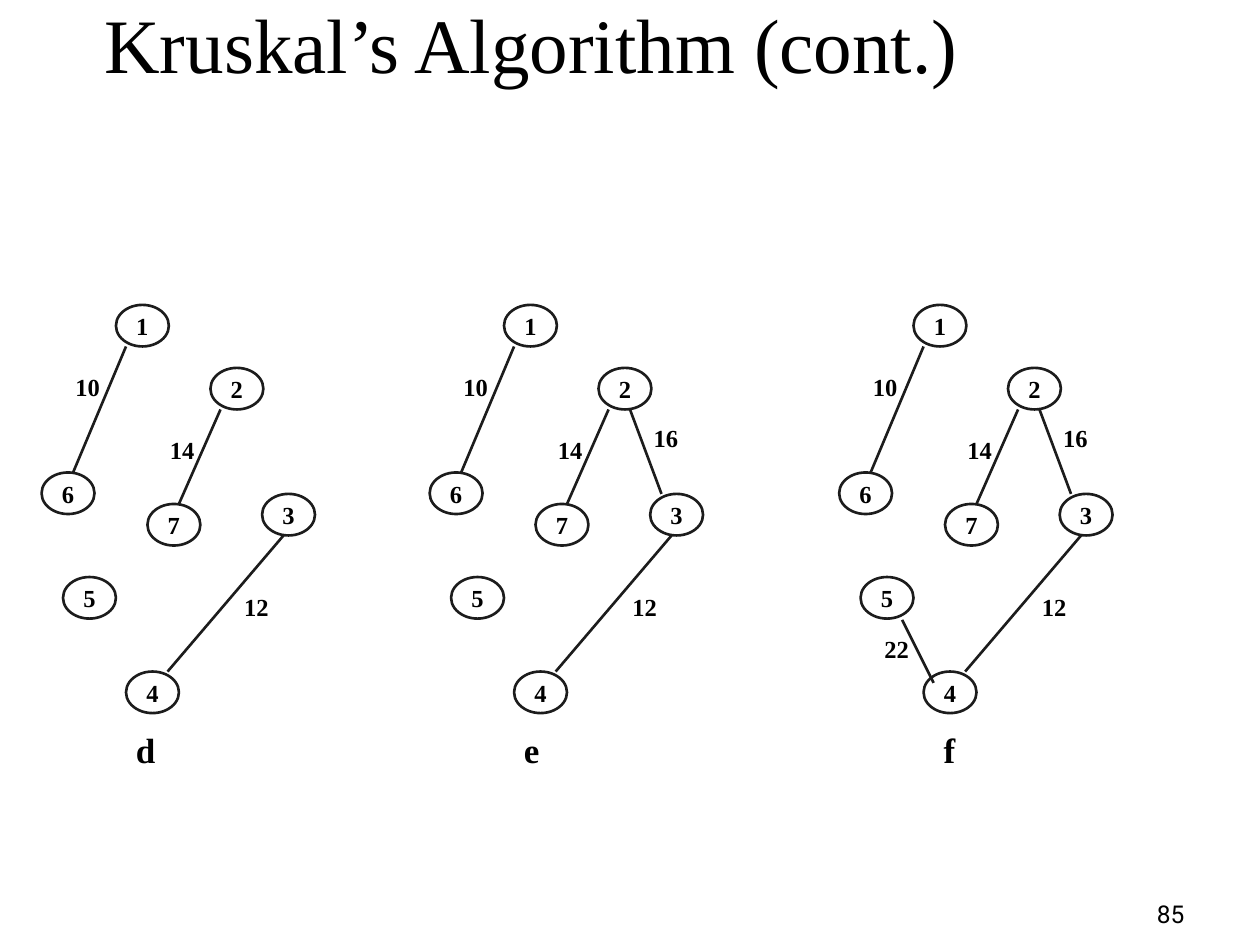
"""Build the Kruskal's Algorithm slide with forest stages d, e and f."""
from lxml import etree
from pptx import Presentation
from pptx.dml.color import RGBColor
from pptx.enum.shapes import MSO_CONNECTOR, MSO_SHAPE
from pptx.enum.text import MSO_ANCHOR, MSO_AUTO_SIZE, PP_ALIGN
from pptx.oxml.ns import qn
from pptx.util import Inches, Pt

OVAL = MSO_SHAPE.OVAL
STRAIGHT = MSO_CONNECTOR.STRAIGHT
TOP, MIDDLE, BOTTOM = MSO_ANCHOR.TOP, MSO_ANCHOR.MIDDLE, MSO_ANCHOR.BOTTOM
LEFT, CENTER, RIGHT = PP_ALIGN.LEFT, PP_ALIGN.CENTER, PP_ALIGN.RIGHT
FIT, NO_FIT = MSO_AUTO_SIZE.SHAPE_TO_FIT_TEXT, MSO_AUTO_SIZE.NONE
BLACK = RGBColor(0x00, 0x00, 0x00)
WHITE = RGBColor(0xFF, 0xFF, 0xFF)
INK = RGBColor(0x1C, 0x1C, 0x1C)
SERIF = "Times New Roman"

NODES = {"2": (1.67, 2.92), "1": (0.92, 2.42), "3": (2.08, 3.92),
         "4": (1, 5.33), "6": (0.33, 3.75), "7": (1.17, 4), "5": (0.5, 4.58)}
EDGES = {"10": ((1, 2.75), (0.58, 3.75), (0.5, 2.9)),
         "16": ((1.92, 3.25), (2.17, 3.92), (2.01, 3.31)),
         "12": ((2.25, 4.25), (1.33, 5.33), (1.84, 4.65)),
         "22": ((1.08, 5.42), (0.83, 4.92), (0.59, 4.98)),
         "14": ((1.42, 4), (1.75, 3.25), (1.25, 3.4))}
STAGES = [("d", 0, 0.98, 0.35, ["10", "12", "14"]),
          ("e", 3.08, 4.06, 0.32, ["10", "16", "12", "14"]),
          ("f", 6.33, 7.39, 0.29, ["10", "16", "12", "22", "14"])]


def set_text(sp, text, size, font=SERIF, bold=True, align=LEFT, anchor=TOP,
             wrap=False, fit=NO_FIT):
    tf = sp.text_frame
    tf.text = text
    tf.word_wrap = wrap
    tf.auto_size = fit
    tf.vertical_anchor = anchor
    p = tf.paragraphs[0]
    p.alignment = align
    r = p.runs[0]
    r.font.name = font
    r.font.size = Pt(size)
    r.font.bold = bold
    r.font.color.rgb = BLACK


def add_text(shapes, x, y, w, h, text, size, **style):
    sp = shapes.add_textbox(Inches(x), Inches(y), Inches(w), Inches(h))
    set_text(sp, text, size, **style)


prs = Presentation()
prs.slide_width = Inches(10)
prs.slide_height = Inches(7.5)
s = prs.slides.add_slide(prs.slide_layouts[6])

for name, dx, name_x, name_w, weights in STAGES:
    shapes = s.shapes.add_group_shape().shapes
    for label, (x, y) in NODES.items():
        sp = shapes.add_shape(OVAL, Inches(x + dx), Inches(y),
                              Inches(0.42), Inches(0.33))
        sp.shadow.inherit = False
        sp.fill.solid()
        sp.fill.fore_color.rgb = WHITE
        sp.line.color.rgb = INK
        sp.line.width = Pt(1.5)
        set_text(sp, label, 14, align=CENTER, anchor=MIDDLE)
    for weight in weights:
        (x1, y1), (x2, y2), _ = EDGES[weight]
        line = shapes.add_connector(STRAIGHT, Inches(x1 + dx), Inches(y1),
                                    Inches(x2 + dx), Inches(y2))
        line.line.color.rgb = INK
        line.line.width = Pt(1.5)
        etree.SubElement(line._element.spPr, qn("a:effectLst"))
    for weight in weights:
        x, y = EDGES[weight][2]
        add_text(shapes, x + dx, y, 0.4, 0.34, weight, 14, fit=FIT)
    add_text(s.shapes, name_x, 5.73, name_w, 0.44, name, 20, fit=FIT)

add_text(s.shapes, 0.73, -0.08, 8.52, 0.75, "Kruskal’s Algorithm (cont.)", 44,
         bold=False, wrap=True)
add_text(s.shapes, 7.42, 6.92, 2.08, 0.5, "85", 14, font="Roboto", bold=False,
         align=RIGHT, anchor=BOTTOM, wrap=True)

prs.save("out.pptx")
